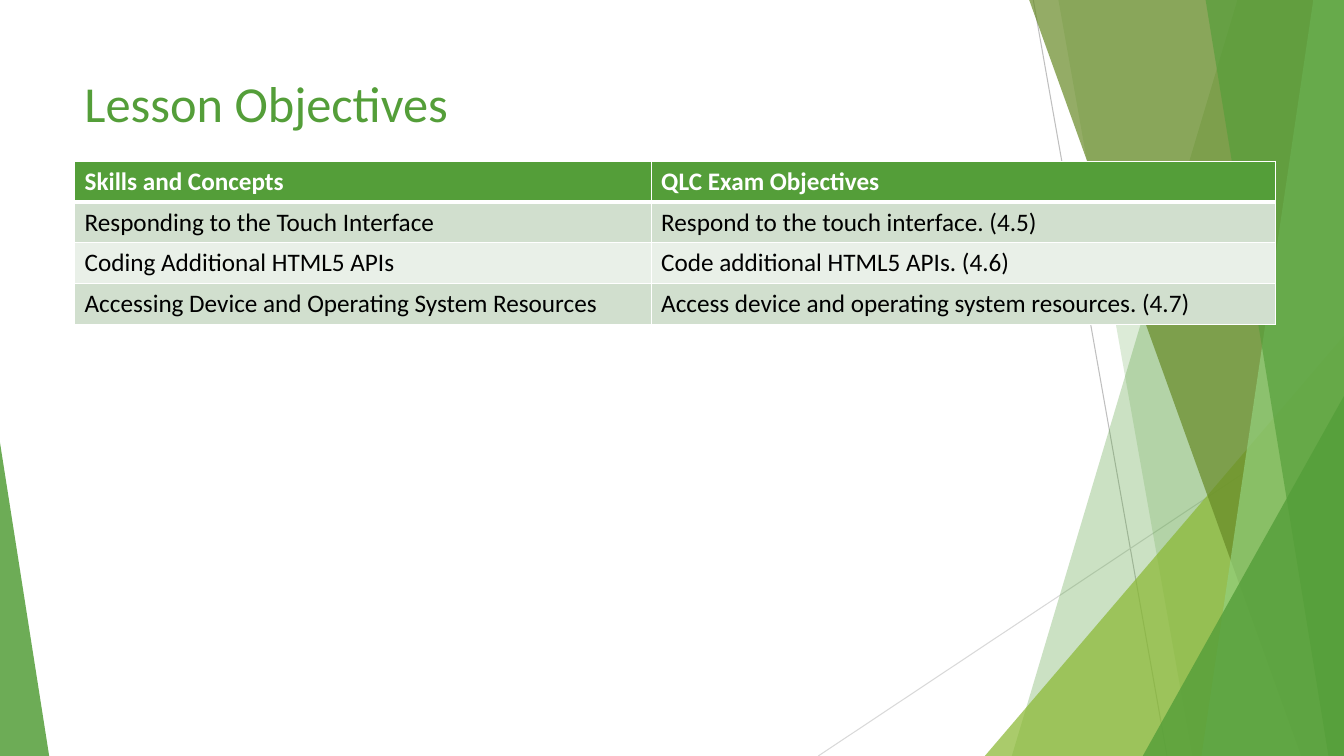
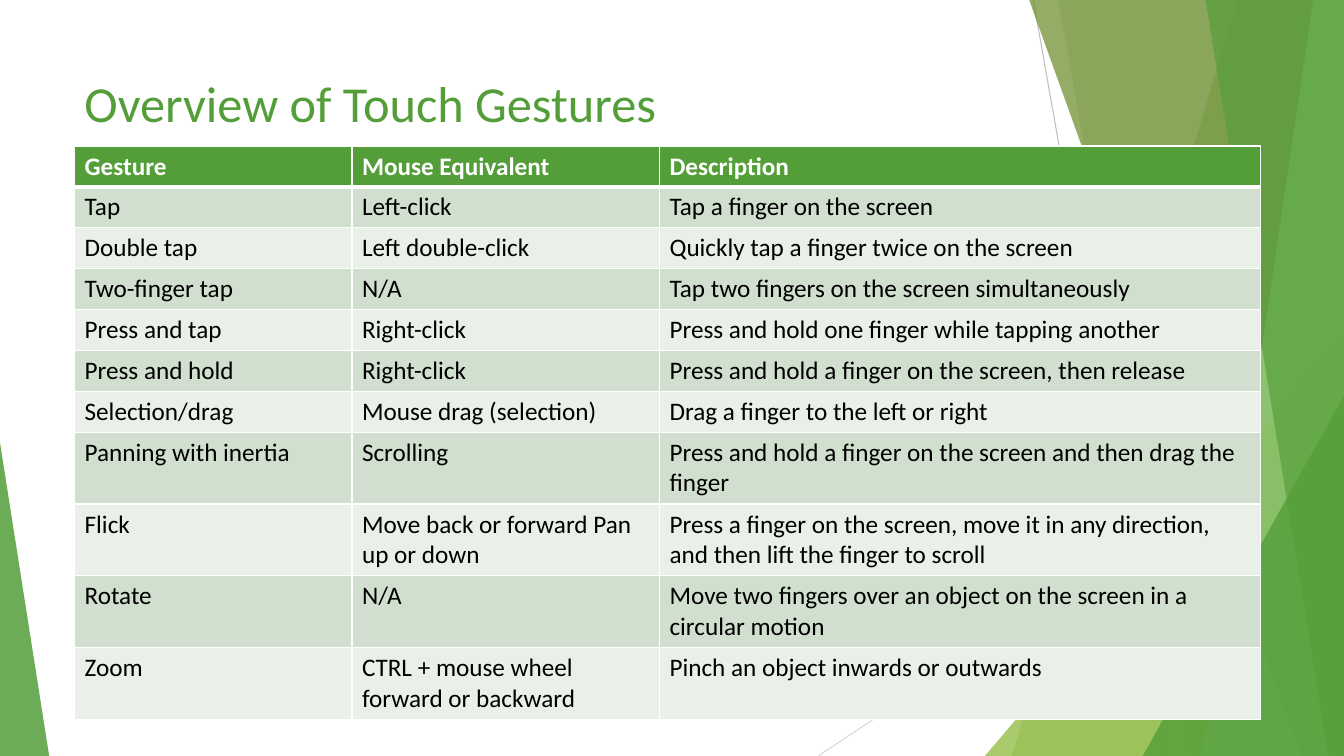
import pptx
import pptx.util
import pptx.dml.color
import pptx.enum.shapes
import pptx.oxml
import pptx.oxml.ns

Cm = pptx.util.Cm
Pt = pptx.util.Pt
RGB = pptx.dml.color.RGBColor
Shape = pptx.enum.shapes.MSO_SHAPE
qn = pptx.oxml.ns.qn

GREEN = RGB(0x54, 0x9E, 0x39)
LIME = RGB(0x8A, 0xB8, 0x33)
OLIVE = RGB(0x67, 0x8A, 0x26)
MINT = RGB(0x93, 0xD0, 0x7D)
BAND = RGB(0xD1, 0xDF, 0xCE)
PALE = RGB(0xE9, 0xF0, 0xE8)
GRAY = RGB(0xBF, 0xBF, 0xBF)
SILVER = RGB(0xD9, 0xD9, 0xD9)
WHITE = RGB(0xFF, 0xFF, 0xFF)
BLACK = RGB(0, 0, 0)

FONT = "Calibri"
WIDE, HIGH = 33.87, 19.05
LEFT = 1.88
ROW = 1.03
TALL = 1.81

SKILLS = [
    ("Skills and Concepts", "QLC Exam Objectives"),
    ("Responding to the Touch Interface", "Respond to the touch interface. (4.5)"),
    ("Coding Additional HTML5 APIs", "Code additional HTML5 APIs. (4.6)"),
    ("Accessing Device and Operating System Resources",
     "Access device and operating system resources. (4.7)"),
]

MOVES = [
    ("Gesture", "Mouse Equivalent", "Description"),
    ("Tap", "Left-click", "Tap a finger on the screen"),
    ("Double tap", "Left double-click", "Quickly tap a finger twice on the screen"),
    ("Two-finger tap", "N/A", "Tap two fingers on the screen simultaneously"),
    ("Press and tap", "Right-click", "Press and hold one finger while tapping another"),
    ("Press and hold", "Right-click", "Press and hold a finger on the screen, then release"),
    ("Selection/drag", "Mouse drag (selection)", "Drag a finger to the left or right"),
    ("Panning with inertia", "Scrolling",
     "Press and hold a finger on the screen and then drag the finger"),
    ("Flick", "Move back or forward Pan up or down",
     "Press a finger on the screen, move it in any direction, "
     "and then lift the finger to scroll"),
    ("Rotate", "N/A",
     "Move two fingers over an object on the screen in a circular motion"),
    ("Zoom", "CTRL + mouse wheel forward or backward",
     "Pinch an object inwards or outwards"),
]


def put(frame, text, size=18, color=BLACK, bold=False):
    frame.word_wrap = True
    run = frame.paragraphs[0].add_run()
    run.text = text
    run.font.name = FONT
    run.font.size = Pt(size)
    run.font.bold = bold
    run.font.color.rgb = color


def paint(shape, color, alpha):
    shape.shadow.inherit = False
    shape.line.fill.background()
    shape.fill.solid()
    shape.fill.fore_color.rgb = color
    tint = shape.element.spPr.find(".//" + qn("a:srgbClr"))
    tint.append(tint.makeelement(qn("a:alpha"), {"val": str(alpha * 1000)}))


def add_ray(slide, start, end, color):
    ray = slide.shapes.add_connector(
        pptx.enum.shapes.MSO_CONNECTOR.STRAIGHT, *map(Cm, start + end))
    ray.line.color.rgb = color
    ray.line.width = Pt(0.75)
    props = ray.element.spPr
    props.append(props.makeelement(qn("a:effectLst")))


def add_facet(slide, top, base, color, alpha):
    form = slide.shapes.build_freeform(Cm(top), Cm(-0.02))
    edge = [(WIDE, -0.02), (WIDE, HIGH), (base, HIGH)]
    form.add_line_segments([(Cm(x), Cm(y)) for x, y in edge], close=True)
    paint(form.convert_to_shape(), color, alpha)


def add_wedge(slide, left, top, width, peak, color, alpha):
    wedge = slide.shapes.add_shape(
        Shape.ISOSCELES_TRIANGLE, Cm(left), Cm(top), Cm(width), Cm(HIGH - top))
    wedge.adjustments[0] = peak
    paint(wedge, color, alpha)


def add_decor(slide):
    add_ray(slide, (26.04, 0), (29.41, HIGH), GRAY)
    add_ray(slide, (WIDE, 10.24), (20.62, HIGH), SILVER)
    add_facet(slide, 31.19, 25.5, GREEN, 30)
    add_facet(slide, 26.67, 30.05, GREEN, 20)
    add_wedge(slide, 24.82, 8.46, 9.05, 1, LIME, 72)
    add_facet(slide, 25.93, 32.79, OLIVE, 70)
    add_facet(slide, 33.1, 30.28, MINT, 70)
    add_facet(slide, 30.38, 33.48, GREEN, 65)
    add_wedge(slide, 28.8, 9.98, 5.07, 1, GREEN, 80)
    add_wedge(slide, 0, 11.15, 1.24, 0, GREEN, 85)


def add_title(slide, text):
    box = slide.shapes.add_textbox(Cm(LEFT), Cm(1.7), Cm(23.88), Cm(3.66))
    put(box.text_frame, text, size=36, color=GREEN)


def add_edges(cell, row):
    props = cell._tc.get_or_add_tcPr()
    thick = {"T": 3 if row == 1 else 1, "B": 3 if row == 0 else 1}
    for side in "LRTB":
        width = Pt(thick.get(side, 1))
        props.append(pptx.oxml.parse_xml(
            f'<a:ln{side} {pptx.oxml.ns.nsdecls("a")} w="{width}"><a:solidFill>'
            f'<a:srgbClr val="{WHITE}"/></a:solidFill></a:ln{side}>'))


def add_grid(slide, top, widths, rows, tall=0):
    heights = [ROW] * (len(rows) - tall) + [TALL] * tall
    grid = slide.shapes.add_table(
        len(rows), len(widths), Cm(LEFT), Cm(top),
        Cm(sum(widths)), Cm(sum(heights))).table
    for column, width in zip(grid.columns, widths):
        column.width = Cm(width)
    for r, (texts, height) in enumerate(zip(rows, heights)):
        grid.rows[r].height = Cm(height)
        head = r == 0
        for c, text in enumerate(texts):
            cell = grid.cell(r, c)
            add_edges(cell, r)
            cell.fill.solid()
            cell.fill.fore_color.rgb = GREEN if head else BAND if r % 2 else PALE
            put(cell.text_frame, text, color=WHITE if head else BLACK, bold=head)


def add_page(deck, title):
    slide = deck.slides.add_slide(deck.slide_layouts[6])
    add_decor(slide)
    add_title(slide, title)
    return slide


def main():
    deck = pptx.Presentation()
    deck.slide_width = Cm(WIDE)
    deck.slide_height = Cm(HIGH)
    page = add_page(deck, "Lesson Objectives")
    add_grid(page, 4.06, (14.53, 15.74), SKILLS)
    page = add_page(deck, "Overview of Touch Gestures")
    add_grid(page, 3.68, (6.99, 7.75, 15.14), MOVES, tall=4)
    deck.save("out.pptx")


main()
